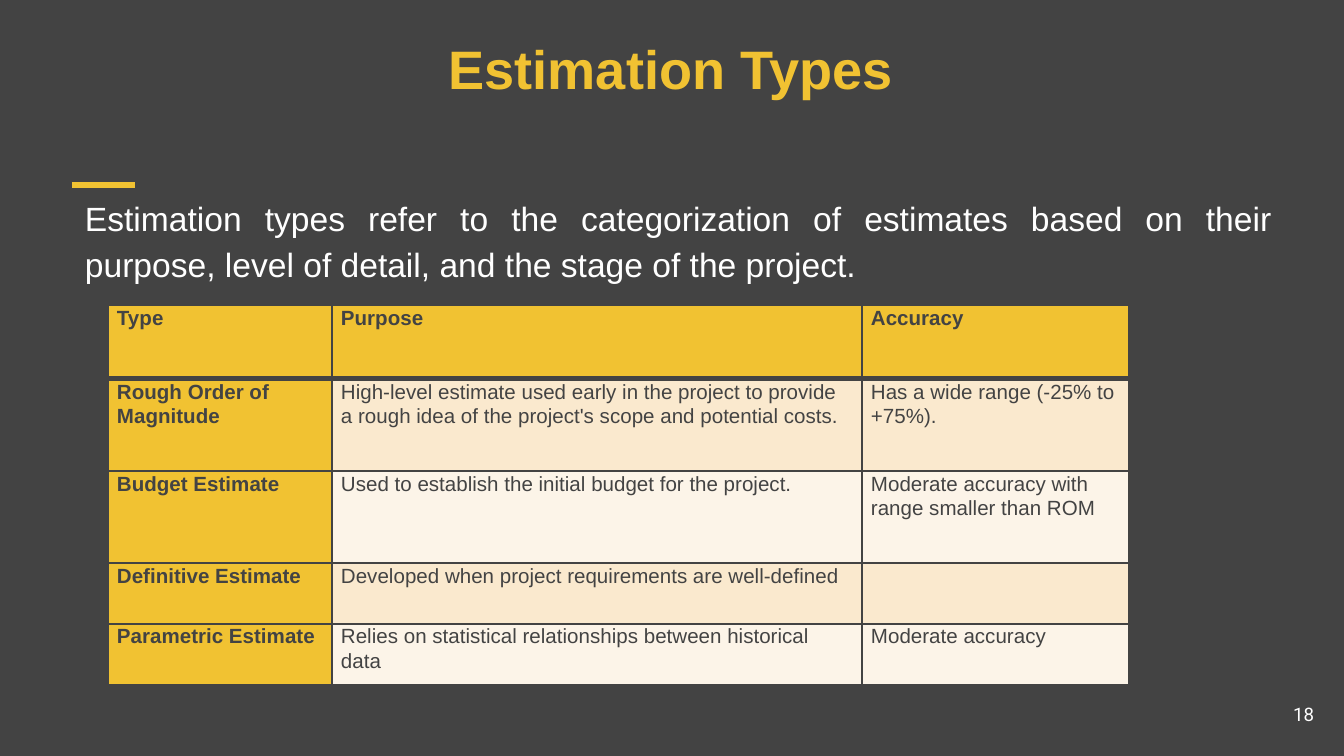
from lxml import etree
from pptx import Presentation
from pptx import util as u
from pptx.dml.color import RGBColor
from pptx.enum import shapes, text
from pptx.oxml import ns

PX = 9144000 / 1344  # EMU per px
COLORS = {
    "dark": "434343",
    "gold": "F1C232",
    "white": "FFFFFF",
    "sand": "FAE9CE",
    "cream": "FCF4E8",
}
LEFT, CENTER = text.PP_ALIGN.LEFT, text.PP_ALIGN.CENTER
RIGHT, JUSTIFY = text.PP_ALIGN.RIGHT, text.PP_ALIGN.JUSTIFY


def px(n):
    return u.Emu(round(n * PX))


def rgb(name):
    return RGBColor.from_string(COLORS[name])


def write(tf, words, size=11, color="dark", bold=False, font="Arial",
          align=LEFT, spacing=1.0, after=0):
    """Fill a text frame with one formatted paragraph."""
    tf.word_wrap = True
    p = tf.paragraphs[0]
    p.alignment, p.line_spacing = align, spacing
    p.space_before, p.space_after = u.Pt(0), u.Pt(after)
    r = p.add_run()
    r.text = words
    r.font.name, r.font.size, r.font.bold = font, u.Pt(size), bold
    r.font.color.rgb = rgb(color)
    return p


class Deck:
    def __init__(self):
        self.prs = Presentation()
        self.prs.slide_width, self.prs.slide_height = px(1344), px(756)
        self.s = self.prs.slides.add_slide(self.prs.slide_layouts[1])
        fill = self.s.background.fill
        fill.solid()
        fill.fore_color.rgb = rgb("dark")

    def frame(self, sp, box, anchor):
        sp.left, sp.top, sp.width, sp.height = map(px, box)
        tf = sp.text_frame
        tf.auto_size = text.MSO_AUTO_SIZE.NONE
        tf.vertical_anchor = anchor
        tf.margin_left = tf.margin_right = px(13)
        tf.margin_top = tf.margin_bottom = px(13)
        return tf

    def title(self, words, box):
        tf = self.frame(self.s.shapes.title, box, text.MSO_ANCHOR.BOTTOM)
        write(tf, words, size=29, color="gold", bold=True, align=CENTER)

    def body(self, words, box, indent):
        tf = self.frame(self.s.placeholders[1], box, text.MSO_ANCHOR.TOP)
        p = write(tf, words, size=18, color="white", align=JUSTIFY, spacing=1.15)
        pPr = p._p.get_or_add_pPr()
        pPr.set("marL", str(px(indent)))
        pPr.set("indent", "0")
        etree.SubElement(pPr, ns.qn("a:buNone"))

    def label(self, words, box, **style):
        sp = self.s.shapes.add_textbox(*map(px, box))
        write(self.frame(sp, box, text.MSO_ANCHOR.MIDDLE), words, **style)

    def line(self, x1, y1, x2, y2, color, width):
        ln = self.s.shapes.add_connector(
            shapes.MSO_CONNECTOR.STRAIGHT, px(x1), px(y1), px(x2), px(y2))
        ln.line.color.rgb, ln.line.width = rgb(color), u.Pt(width)
        etree.SubElement(ln._element.spPr, ns.qn("a:effectLst"))

    def borders(self, cell, color, **widths):
        tcPr = cell._tc.get_or_add_tcPr()
        for side in "LRTB":
            ln = etree.SubElement(tcPr, ns.qn("a:ln" + side),
                                  w=str(u.Pt(widths.get(side, 1))))
            solid = etree.SubElement(ln, ns.qn("a:solidFill"))
            etree.SubElement(solid, ns.qn("a:srgbClr"), val=COLORS[color])

    def table(self, rows, x, y, widths, heights):
        tb = self.s.shapes.add_table(len(rows), len(widths), px(x), px(y),
                                     px(sum(widths)), px(sum(heights))).table
        for col, w in zip(tb.columns, widths):
            col.width = px(w)
        for i, (row, h) in enumerate(zip(rows, heights)):
            tb.rows[i].height = px(h)
            for j, words in enumerate(row):
                cell = tb.cell(i, j)
                header = i == 0 or j == 0
                # Borders go before the fill; the header rule is thicker
                self.borders(cell, "dark", B=3 if i == 0 else 1,
                             T=3 if i == 1 else 1)
                cell.fill.solid()
                band = "sand" if i % 2 else "cream"
                cell.fill.fore_color.rgb = rgb("gold" if header else band)
                cell.margin_left = cell.margin_right = px(9)
                cell.margin_top = cell.margin_bottom = 0
                if words:
                    write(cell.text_frame, words, bold=header,
                          spacing=1.07, after=8)


ROWS = [
    ("Type", "Purpose", "Accuracy"),
    ("Rough Order of Magnitude",
     "High-level estimate used early in the project to provide a rough idea "
     "of the project's scope and potential costs.",
     "Has a wide range (-25% to +75%)."),
    ("Budget Estimate",
     "Used to establish the initial budget for the project.",
     "Moderate accuracy with range smaller than ROM"),
    ("Definitive Estimate",
     "Developed when project requirements are well-defined", ""),
    ("Parametric Estimate",
     "Relies on statistical relationships between historical data",
     "Moderate accuracy"),
]


def main():
    deck = Deck()
    # Heading and accent rule
    deck.line(72, 185, 135, 185, "gold", 3)
    deck.title("Estimation Types", (56, 12, 1230, 101))
    # Definition
    deck.body("Estimation types refer to the categorization of estimates based "
              "on their purpose, level of detail, and the stage of the project.",
              (55, 179, 1230, 461), indent=17)
    # Slide number
    deck.label("18", (1246, 685, 81, 58), size=10, color="white",
               font="Roboto", align=RIGHT)
    # Comparison table
    deck.table(ROWS, 108, 305, (224, 530, 267), (74, 92, 92, 61, 61))
    deck.prs.save("out.pptx")


if __name__ == "__main__":
    main()
